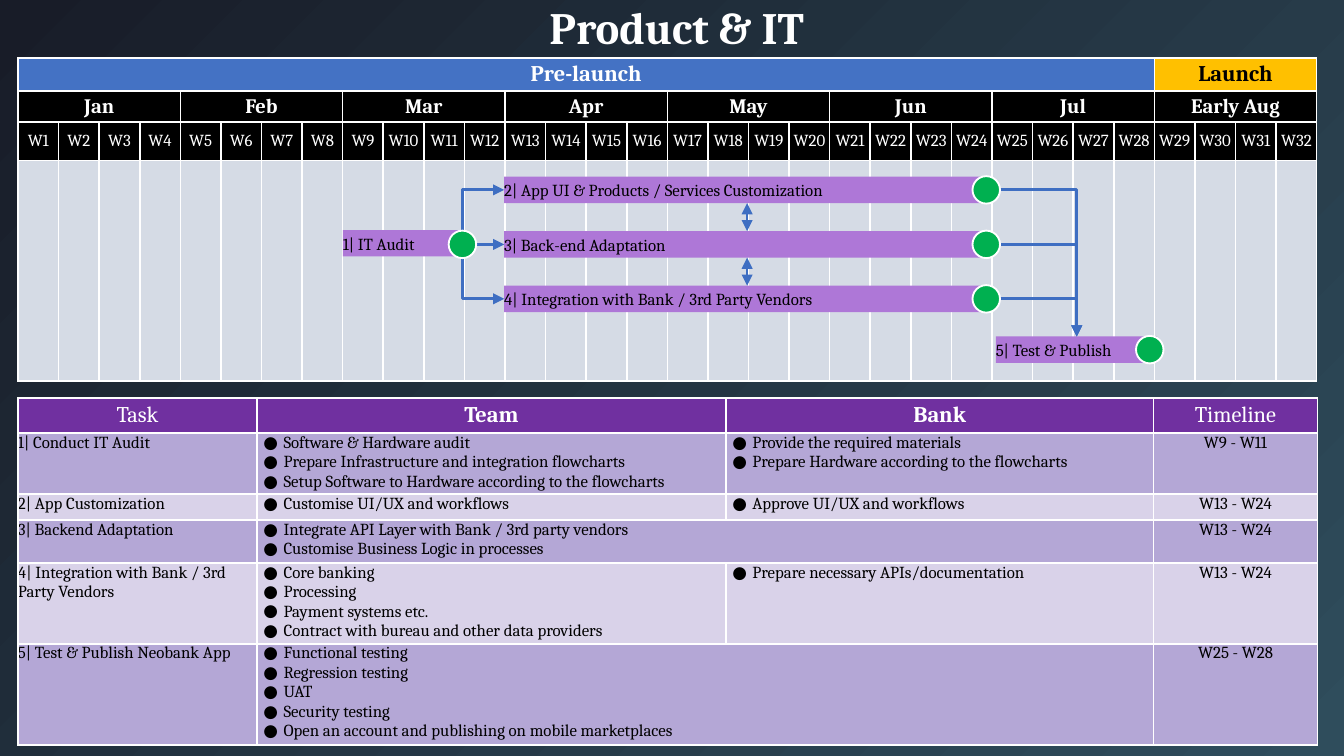
from dataclasses import dataclass
from typing import NamedTuple

from lxml.etree import SubElement
from pptx import Presentation
from pptx.dml.color import RGBColor
from pptx.enum.shapes import MSO_CONNECTOR, MSO_SHAPE
from pptx.enum.text import MSO_ANCHOR, PP_ALIGN
from pptx.oxml.ns import qn
from pptx.util import Cm, Pt


@dataclass(frozen=True)
class Theme:
    font: str = "Cambria"
    night: str = "181C28"
    teal: str = "2F4D5C"
    white: str = "FFFFFF"
    black: str = "000000"
    blue: str = "4472C4"
    gold: str = "FFC000"
    pale: str = "D5DBE5"
    plum: str = "7030A0"
    bands: tuple[str, str] = ("B4A7D6", "D9D2E9")
    bar: str = "AE77D7"
    dot: str = "00B050"
    link: str = "3E6EC2"
    title: float = 24
    head: float = 12
    month: float = 11
    body: float = 9


class Style(NamedTuple):
    size: float
    color: str
    bold: bool = False
    align: PP_ALIGN = PP_ALIGN.LEFT
    bullet: bool = False


class Bar(NamedTuple):
    text: str
    x: float
    y: float
    width: float


class Link(NamedTuple):
    start: tuple[float, float]
    end: tuple[float, float]
    bent: bool = False
    head: bool = False
    tail: bool = False
    weight: float = 1.5


class Task(NamedTuple):
    name: str
    ours: list[str]
    bank: list[str]
    weeks: str
    height: float


LOOK = Theme()
MID = PP_ALIGN.CENTER
LEFT, WIDE = 0.34, 24.56
WEEKS, SPAN, LIVE = 32, 4, 28
MONTHS = ["Jan", "Feb", "Mar", "Apr", "May", "Jun", "Jul", "Early Aug"]
THICK, DOT = 0.5, 0.52
LANES = [3.34 + 1.03 * i for i in range(3)]
LANE_X, LANE_W = 9.53, 9.17
NODE = (8.74, 4.62)
DONE_X, DROP_X, TEST_Y = 18.64, 20.35, 6.36

BARS = [
    Bar("1| IT Audit", 6.48, 4.35, 2.26),
    Bar("2| App UI & Products / Services Customization", LANE_X, LANES[0], LANE_W),
    Bar("3| Back-end Adaptation", LANE_X, LANES[1], LANE_W),
    Bar("4| Integration with Bank / 3rd Party Vendors", LANE_X, LANES[2], LANE_W),
    Bar("5| Test & Publish", 18.82, TEST_Y, 3.05),
]
TASKS = [
    Task("1| Conduct IT Audit",
         ["Software & Hardware audit", "Prepare Infrastructure and integration flowcharts",
          "Setup Software to Hardware according to the flowcharts"],
         ["Provide the required materials", "Prepare Hardware according to the flowcharts"],
         "W9 - W11", 1.15),
    Task("2| App Customization", ["Customise UI/UX and workflows"],
         ["Approve UI/UX and workflows"], "W13 - W24", 0.49),
    Task("3| Backend Adaptation",
         ["Integrate API Layer with Bank / 3rd party vendors",
          "Customise Business Logic in processes"], [], "W13 - W24", 0.81),
    Task("4| Integration with Bank / 3rd Party Vendors",
         ["Core banking", "Processing", "Payment systems etc.",
          "Contract with bureau and other data providers"],
         ["Prepare necessary APIs/documentation"], "W13 - W24", 1.47),
    Task("5| Test & Publish Neobank App",
         ["Functional testing", "Regression testing", "UAT", "Security testing",
          "Open an account and publishing on mobile marketplaces"],
         [], "W25 - W28", 1.8),
]


def rgb(code: str) -> RGBColor:
    return RGBColor.from_string(code)


def write(frame, lines: list[str], style: Style) -> None:
    for i, line in enumerate(lines):
        para = frame.add_paragraph() if i else frame.paragraphs[0]
        para.text = line
        para.alignment = style.align
        if style.bullet:
            props = para._p.get_or_add_pPr()
            props.set("marL", str(Cm(0.5)))
            props.set("indent", str(-Cm(0.38)))
            tint = SubElement(props, qn("a:buClr"))
            SubElement(tint, qn("a:srgbClr"), val=style.color)
            SubElement(props, qn("a:buFont"), typeface=LOOK.font)
            SubElement(props, qn("a:buChar"), char="●")
        font = para.font
        font.name, font.size, font.bold = LOOK.font, Pt(style.size), style.bold
        font.color.rgb = rgb(style.color)


def pad(box, size: float = 0) -> None:
    box.margin_left = box.margin_right = box.margin_top = box.margin_bottom = Cm(size)


def grid(slide, top: float, cols: list[float], rows: list[float]):
    table = slide.shapes.add_table(
        len(rows), len(cols), Cm(LEFT), Cm(top), Cm(sum(cols)), Cm(sum(rows))).table
    table.first_row = table.horz_banding = False
    for col, width in zip(table.columns, cols):
        col.width = Cm(width)
    for row, height in zip(table.rows, rows):
        row.height = Cm(height)
    for cell in table.iter_cells():
        pad(cell)
        props = cell._tc.get_or_add_tcPr()
        for side in ("lnL", "lnR", "lnT", "lnB"):
            edge = SubElement(props, qn(f"a:{side}"), w=str(Pt(1)))
            fill = SubElement(edge, qn("a:solidFill"))
            SubElement(fill, qn("a:srgbClr"), val=LOOK.white)
    return table


def put(table, row: int, col: int, lines: list[str], fill: str, style: Style,
        span: int = 1, anchor: MSO_ANCHOR = MSO_ANCHOR.MIDDLE) -> None:
    cell = table.cell(row, col)
    if span > 1:
        cell.merge(table.cell(row, col + span - 1))
    cell.fill.solid()
    cell.fill.fore_color.rgb = rgb(fill)
    cell.vertical_anchor = anchor
    write(cell.text_frame, lines, style)


def plan(slide) -> None:
    table = grid(slide, 1.1, [WIDE / WEEKS] * WEEKS, [0.62, 0.59, 0.72, 4.17])
    put(table, 0, 0, ["Pre-launch"], LOOK.blue, Style(LOOK.head, LOOK.white, True, MID), LIVE)
    put(table, 0, LIVE, ["Launch"], LOOK.gold,
        Style(LOOK.head, LOOK.black, True, MID), WEEKS - LIVE)
    for i, month in enumerate(MONTHS):
        put(table, 1, i * SPAN, [month], LOOK.black,
            Style(LOOK.month, LOOK.white, True, MID), SPAN)
    for i in range(WEEKS):
        put(table, 2, i, [f"W{i + 1}"], LOOK.black, Style(LOOK.body, LOOK.white, False, MID))
        put(table, 3, i, [], LOOK.pale, Style(LOOK.body, LOOK.black))


def duties(slide) -> None:
    table = grid(slide, 7.52, [4.52, 8.86, 8.08, 3.1], [0.67] + [t.height for t in TASKS])
    for i, name in enumerate(["Task", "Team", "Bank", "Timeline"]):
        put(table, 0, i, [name], LOOK.plum, Style(LOOK.head, LOOK.white, i in (1, 2), MID))
    plain = Style(LOOK.body, LOOK.black)
    dots, mid = plain._replace(bullet=True), plain._replace(align=MID)
    top = MSO_ANCHOR.TOP
    for i, task in enumerate(TASKS):
        row, fill = i + 1, LOOK.bands[i % 2]
        put(table, row, 0, [task.name], fill, plain, anchor=top)
        put(table, row, 1, task.ours, fill, dots, 1 if task.bank else 2, top)
        if task.bank:
            put(table, row, 2, task.bank, fill, dots, anchor=top)
        put(table, row, 3, [task.weeks], fill, mid, anchor=top)


def block(slide, kind: MSO_SHAPE, x: float, y: float, w: float, h: float, fill: str):
    shape = slide.shapes.add_shape(kind, Cm(x), Cm(y), Cm(w), Cm(h))
    shape.shadow.inherit = False
    shape.fill.solid()
    shape.fill.fore_color.rgb = rgb(fill)
    return shape


def draw_bar(slide, bar: Bar) -> None:
    shape = block(slide, MSO_SHAPE.RECTANGLE, bar.x, bar.y, bar.width, THICK, LOOK.bar)
    shape.line.fill.background()
    frame = shape.text_frame
    pad(frame)
    frame.word_wrap = True
    frame.vertical_anchor = MSO_ANCHOR.MIDDLE
    write(frame, [bar.text], Style(LOOK.body, LOOK.black))


def draw_dot(slide, x: float, y: float) -> None:
    shape = block(slide, MSO_SHAPE.OVAL, x - DOT / 2, y - DOT / 2, DOT, DOT, LOOK.dot)
    shape.line.color.rgb = rgb(LOOK.white)
    shape.line.width = Pt(1)


def draw_link(slide, link: Link) -> None:
    kind = MSO_CONNECTOR.ELBOW if link.bent else MSO_CONNECTOR.STRAIGHT
    ends = [Cm(n) for n in (*link.start, *link.end)]
    line = slide.shapes.add_connector(kind, *ends)
    line.line.color.rgb = rgb(LOOK.link)
    line.line.width = Pt(link.weight)
    props = line._element.spPr
    if link.bent:
        props.find(qn("a:prstGeom")).set("prst", "bentConnector2")
    for name, shown in (("headEnd", link.head), ("tailEnd", link.tail)):
        if shown:
            SubElement(line.line._get_or_add_ln(), qn(f"a:{name}"), type="triangle")
    SubElement(props, qn("a:effectLst"))


def main() -> None:
    deck = Presentation()
    deck.slide_width, deck.slide_height = Cm(25.4), Cm(14.29)
    slide = deck.slides.add_slide(deck.slide_layouts[6])
    fill = slide.background.fill
    fill.gradient()
    fill.gradient_angle = 315
    for stop, code in zip(fill.gradient_stops, (LOOK.night, LOOK.teal)):
        stop.color.rgb = rgb(code)

    plan(slide)
    frame = slide.shapes.add_textbox(Cm(2.67), Cm(-0.18), Cm(20.24), Cm(1.35)).text_frame
    pad(frame, 0.23)
    frame.word_wrap = True
    frame.vertical_anchor = MSO_ANCHOR.MIDDLE
    write(frame, ["Product & IT"], Style(LOOK.title, LOOK.white, True, MID))
    duties(slide)

    for bar in BARS:
        draw_bar(slide, bar)
    mids = [y + THICK / 2 for y in LANES]
    links = [Link((LANE_X, mids[i]), (NODE[0], NODE[1] + side * DOT / 2), True, head=True)
             for i, side in ((0, -1), (2, 1))]
    links.append(Link((NODE[0] + DOT / 2, NODE[1]), (LANE_X, NODE[1]), tail=True))
    links += [Link((DONE_X + DOT / 2, y), (DROP_X, TEST_Y), True, tail=True) for y in mids]
    links += [Link((14.12, y + THICK), (14.12, below), head=True, tail=True, weight=0.75)
              for y, below in zip(LANES, LANES[1:])]
    for link in links:
        draw_link(slide, link)
    for x, y in [NODE, *((DONE_X, y) for y in mids), (21.73, TEST_Y + THICK / 2)]:
        draw_dot(slide, x, y)
    deck.save("out.pptx")


if __name__ == "__main__":
    main()
